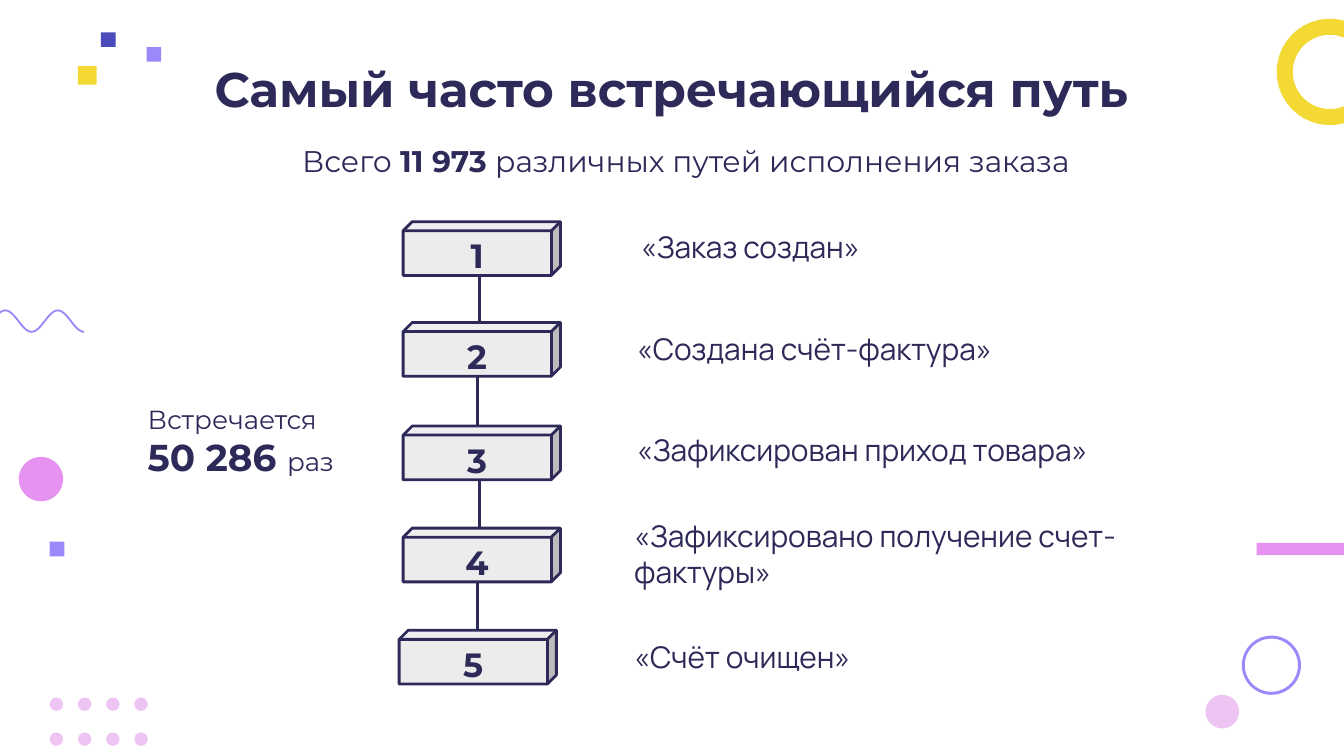
"""Build a slide showing the most frequent path of an order in five steps."""
import math

import pptx
import pptx.dml.color
import pptx.enum.shapes
import pptx.enum.text
import pptx.oxml.ns
import pptx.util

Inches = pptx.util.Inches
Pt = pptx.util.Pt
Shape = pptx.enum.shapes.MSO_SHAPE
Align = pptx.enum.text.PP_ALIGN
Anchor = pptx.enum.text.MSO_ANCHOR

COLORS = {
    "ink": "2D2958",
    "cube": "ECECEC",
    "violet": "9C88FA",
    "indigo": "4B4BBB",
    "yellow": "F4D834",
    "pink": "E592F1",
    "pale": "EDC4F2",
}
HEADING_FONT = "Montserrat"
LABEL_FONT = "Manrope"

STEPS = [
    (3, 1.65, 4.67, 1.6, "«Заказ создан»"),
    (3, 2.4, 4.64, 2.36, "«Создана счёт-фактура»"),
    (3, 3.17, 4.64, 3.11, "«Зафиксирован приход товара»"),
    (3, 3.93, 4.62, 3.75, "«Зафиксировано получение счет-фактуры»"),
    (2.97, 4.69, 4.62, 4.65, "«Счёт очищен»"),
]
CUBE_HEIGHT = 0.4
SQUARES = [
    (0.58, 0.49, 0.14, "yellow"),
    (1.09, 0.35, 0.11, "violet"),
    (0.75, 0.24, 0.11, "indigo"),
    (0.37, 4.03, 0.11, "violet"),
]
DISCS = [(0.14, 3.4, 0.33, "pink"), (8.97, 5.17, 0.25, "pale")]
RINGS = [(9.5, 0.14, 0.79, "yellow", 0.15), (9.24, 4.73, 0.44, "violet", 0.05)]


def color(name):
    """Return the named colour."""
    return pptx.dml.color.RGBColor.from_string(COLORS[name])


def add_figure(shapes, kind, left, top, width, height, fill, line=None, adjustment=None):
    """Add a flat preset shape with an optional outline and adjustment."""
    figure = shapes.add_shape(kind, Inches(left), Inches(top), Inches(width), Inches(height))
    figure.shadow.inherit = False
    figure.fill.solid()
    figure.fill.fore_color.rgb = color(fill)
    if line:
        figure.line.color.rgb = color(line)
        figure.line.width = Pt(1.5)
    else:
        figure.line.fill.background()
    if adjustment is not None:
        figure.adjustments[0] = adjustment
    return figure


def add_text(shapes, left, top, width, height, lines, font=HEADING_FONT,
             align=Align.LEFT, anchor=Anchor.TOP, margin=0.1):
    """Add a text box whose lines are lists of (text, size, bold) spans."""
    box = shapes.add_textbox(Inches(left), Inches(top), Inches(width), Inches(height))
    frame = box.text_frame
    frame.word_wrap = True
    frame.vertical_anchor = anchor
    frame.margin_top = frame.margin_bottom = Inches(margin)
    for index, spans in enumerate(lines):
        para = frame.add_paragraph() if index else frame.paragraphs[0]
        para.alignment = align
        for text, size, bold in spans:
            span = para.add_run()
            span.text = text
            span.font.name = font
            span.font.size = Pt(size)
            span.font.bold = bold
            span.font.color.rgb = color("ink")
    return box


def add_link(page, x, top, bottom):
    """Add a vertical line between two steps."""
    link = page.shapes.add_connector(pptx.enum.shapes.MSO_CONNECTOR.STRAIGHT,
                                     Inches(x), Inches(top), Inches(x), Inches(bottom))
    link.line.color.rgb = color("ink")
    link.line.width = Pt(1.5)
    properties = link._element.spPr
    properties.append(properties.makeelement(pptx.oxml.ns.qn("a:effectLst"), {}))


def add_wave(page, left, middle, amplitude, period, cycles):
    """Add a thin cosine wave that starts at a crest."""
    samples = 24
    points = [
        (Inches(left + period * step / samples),
         Inches(middle - amplitude * math.cos(2 * math.pi * step / samples)))
        for step in range(int(cycles * samples) + 1)
    ]
    builder = page.shapes.build_freeform(*points[0])
    builder.add_line_segments(points[1:], close=False)
    wave = builder.convert_to_shape()
    wave.shadow.inherit = False
    wave.fill.background()
    wave.line.color.rgb = color("violet")
    wave.line.width = Pt(1)


def add_decorations(page):
    """Add the coloured ornaments around the edges."""
    for row in range(2):
        for column in range(4):
            add_figure(page.shapes, Shape.OVAL, 0.37 + 0.21 * column, 5.19 + 0.26 * row,
                       0.1, 0.1, "pale")
    add_wave(page, -0.35, 2.39, 0.08, 0.39, 2.5)
    for left, top, size, fill, thickness in RINGS:
        add_figure(page.shapes, Shape.DONUT, left, top, size, size, fill, adjustment=thickness)
    for left, top, size, fill in DISCS:
        add_figure(page.shapes, Shape.OVAL, left, top, size, size, fill)
    for left, top, size, fill in SQUARES:
        add_figure(page.shapes, Shape.RECTANGLE, left, top, size, size, fill)
    add_figure(page.shapes, Shape.RECTANGLE, 9.35, 4.04, 0.88, 0.09, "pink")


def add_step(page, number, left, top, label_left, label_top, label):
    """Add a numbered cube and its label."""
    group = page.shapes.add_group_shape()
    add_figure(group.shapes, Shape.CUBE, left, top, 1.17, CUBE_HEIGHT, "cube", "ink", 0.17)
    add_text(group.shapes, left, top, 1.1, 0.36, [[(str(number), 18, True)]],
             align=Align.CENTER)
    add_text(page.shapes, label_left, label_top, 4.02, 0.69, [[(label, 16, False)]],
             font=LABEL_FONT)


def main():
    """Build and save the deck."""
    deck = pptx.Presentation()
    deck.slide_width = Inches(10)
    deck.slide_height = Inches(10) * 9 // 16
    page = deck.slides.add_slide(deck.slide_layouts[6])

    add_decorations(page)
    add_text(page.shapes, 0.83, 0.34, 8.34, 0.63,
             [[("Самый часто встречающийся путь", 26, True)]],
             align=Align.CENTER, anchor=Anchor.MIDDLE)
    add_text(page.shapes, 2.15, 1.01, 6.51, 0.37,
             [[("Всего", 16, False), (" 11 973 ", 16, True),
               ("различных путей исполнения заказа", 16, False)]], margin=0.05)
    add_text(page.shapes, 1, 2.95, 1.72, 0.67,
             [[("Встречается", 14, False)], [("50 286 ", 20, True), ("раз", 14, False)]],
             margin=0.05)

    for index, (upper, lower) in enumerate(zip(STEPS, STEPS[1:])):
        add_link(page, 3.55 if index % 2 else 3.57, upper[1] + CUBE_HEIGHT, lower[1] + 0.08)
    for number, step in enumerate(STEPS, start=1):
        add_step(page, number, *step)

    deck.save("out.pptx")


if __name__ == "__main__":
    main()
